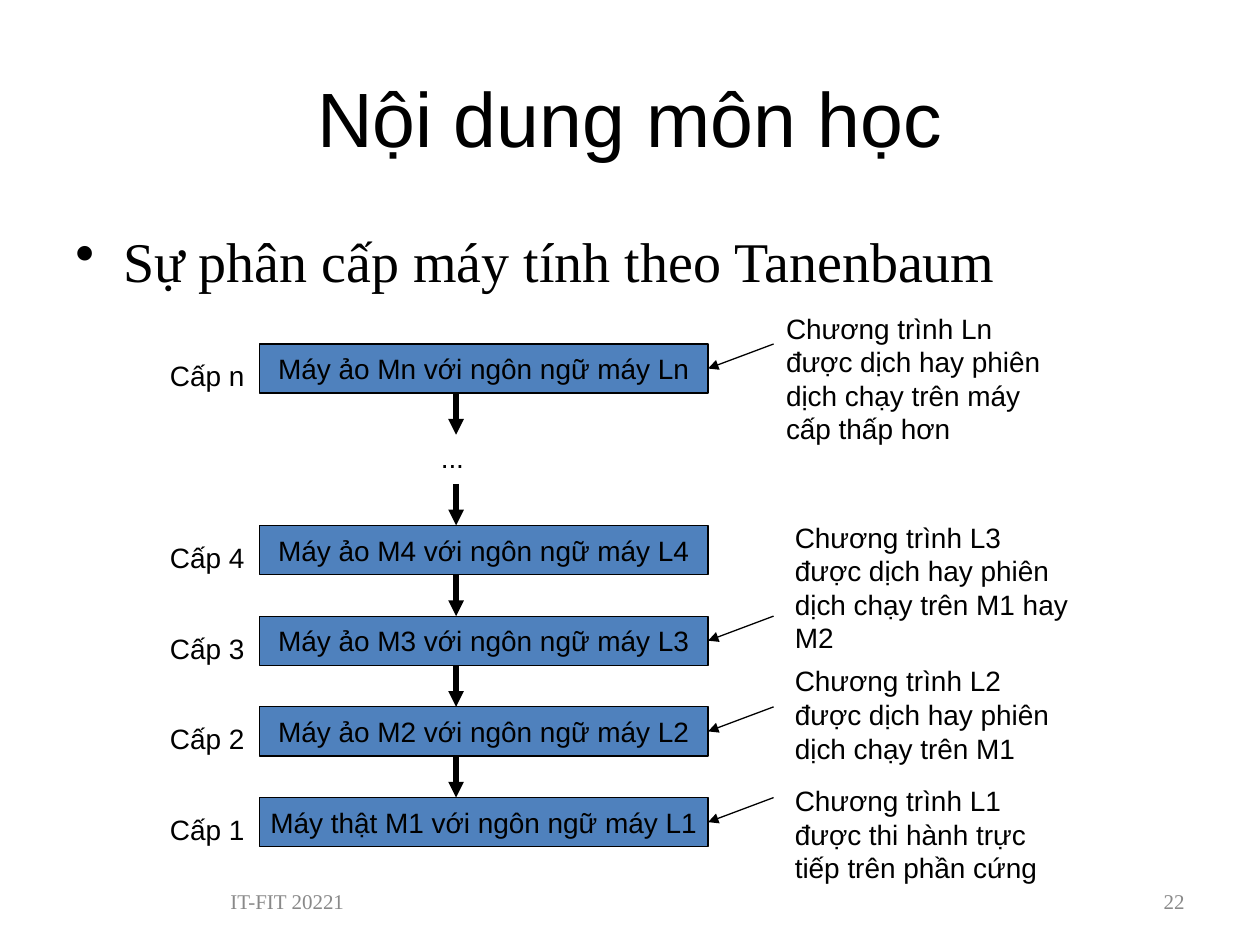
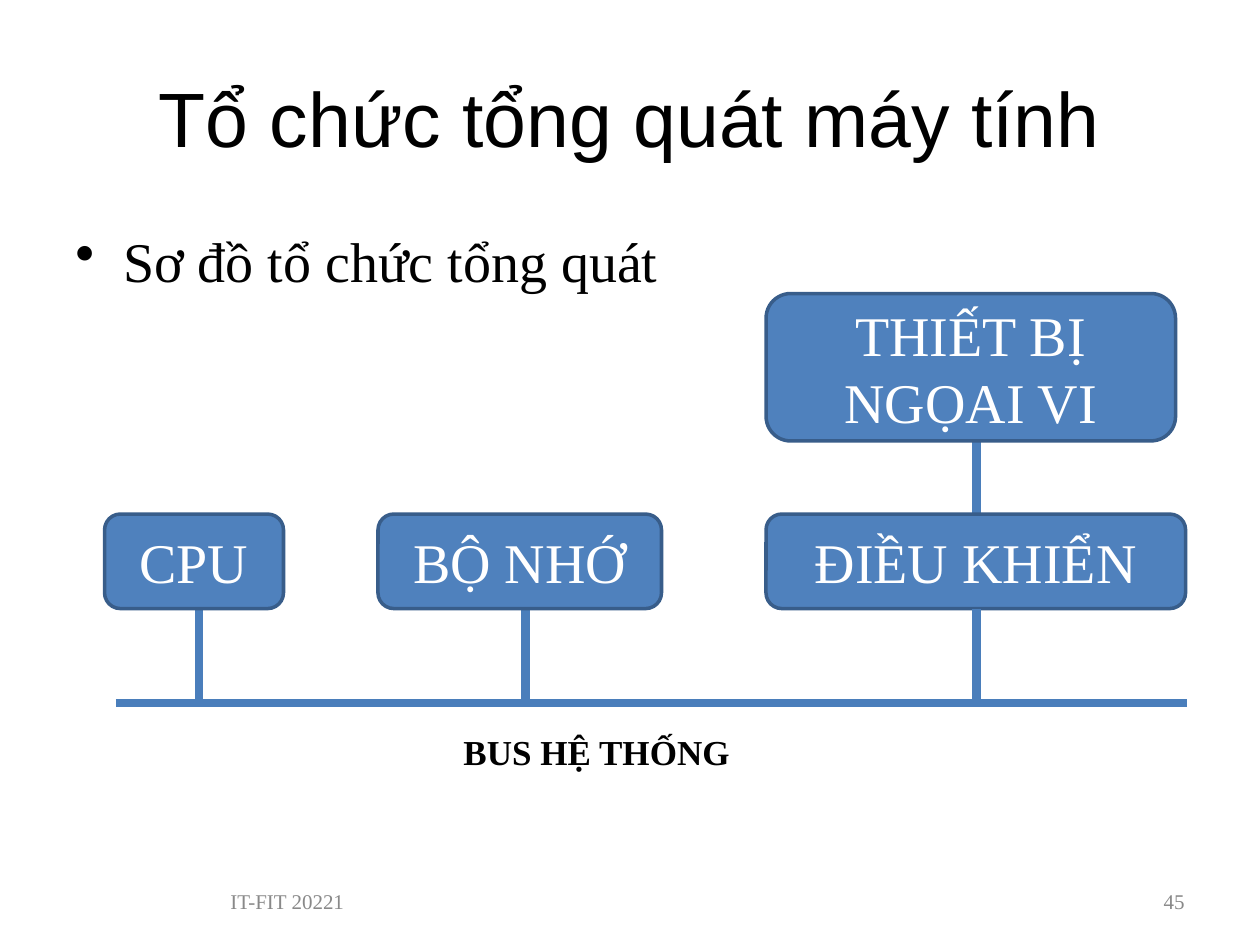
"""Builds two lecture slides: the machine hierarchy and the computer block diagram."""
from dataclasses import dataclass

from lxml import etree
from pptx import Presentation
from pptx import util as u
from pptx.dml.color import RGBColor
from pptx.enum import shapes, text
from pptx.oxml.ns import qn


@dataclass(frozen=True)
class Theme:
    """Colours, fonts and type sizes of the deck."""
    ink: str = "000000"
    paper: str = "FFFFFF"
    muted: str = "898989"
    fill: str = "4F81BD"
    edge: str = "385D8A"
    wire: str = "4A7EBB"
    sans: str = "Arial"
    serif: str = "Times New Roman"
    title: int = 44
    body: int = 32
    caption: int = 20
    label: int = 16
    footer: int = 12
    thin: float = 0.75
    border: float = 2
    arrow: float = 3
    bus: float = 5


class Deck:
    """Holds the theme and the current slide and draws each kind of element."""

    def __init__(self, theme):
        """Start an empty 10 by 7.5 inch presentation."""
        self.t = theme
        self.prs = Presentation()
        self.prs.slide_width, self.prs.slide_height = u.Inches(10), u.Inches(7.5)
        self.s = None

    def slide(self, title, bullet, number):
        """Add a slide with its title, opening bullet and footer."""
        t = self.t
        self.s = self.prs.slides.add_slide(self.prs.slide_layouts[6])
        self.label(title, (0.5, 0.3, 9, 1.25), t.title, t.sans,
                   align=text.PP_ALIGN.CENTER, anchor=text.MSO_ANCHOR.MIDDLE)
        self.bullet(bullet)
        for words, x in (("IT-FIT 20221", 0.5), (number, 7.17)):
            self.label(words, (x, 6.95, 2.33, 0.4), t.footer, t.serif, t.muted,
                       text.PP_ALIGN.RIGHT, text.MSO_ANCHOR.MIDDLE)

    def style(self, tf, words, size, font, color, align, anchor):
        """Fill a text frame with one styled paragraph and return it."""
        tf.word_wrap = True
        tf.vertical_anchor = anchor
        p = tf.paragraphs[0]
        p.text = words
        p.alignment = align
        p.font.size, p.font.name = u.Pt(size), font
        p.font.color.rgb = RGBColor.from_string(color)
        return p

    def label(self, words, box, size, font, color=None, align=text.PP_ALIGN.LEFT,
              anchor=text.MSO_ANCHOR.TOP):
        """Add a text box and return its paragraph."""
        sp = self.s.shapes.add_textbox(*map(u.Inches, box))
        return self.style(sp.text_frame, words, size, font, color or self.t.ink,
                          align, anchor)

    def bullet(self, words):
        """Add the bulleted line under the title."""
        p = self.label(words, (0.5, 1.75, 9, 0.92), self.t.body, self.t.serif)
        p.space_before = u.Pt(8)
        pr = p._p.get_or_add_pPr()
        pr.set("marL", str(u.Inches(0.38)))
        pr.set("indent", str(u.Inches(-0.38)))
        mark = etree.Element(qn("a:buChar"), char="•")
        pr.find(qn("a:spcBef")).addnext(mark)

    def note(self, words, x, y, w, h=0.37):
        """Add a small diagram label or note."""
        p = self.label(words, (x, y, w, h), self.t.label, self.t.sans)
        p.space_before = u.Pt(10)

    def box(self, kind, words, box, size, font, color, edge, width):
        """Add a filled shape with centred text."""
        sp = self.s.shapes.add_shape(kind, *map(u.Inches, box))
        sp.shadow.inherit = False
        sp.fill.solid()
        sp.fill.fore_color.rgb = RGBColor.from_string(self.t.fill)
        sp.line.color.rgb = RGBColor.from_string(edge)
        sp.line.width = u.Pt(width)
        self.style(sp.text_frame, words, size, font, color,
                   text.PP_ALIGN.CENTER, text.MSO_ANCHOR.MIDDLE)
        return sp

    def machine(self, words, box):
        """Add a square-cornered level of the hierarchy."""
        t = self.t
        sp = self.box(shapes.MSO_SHAPE.RECTANGLE, words, box, t.label, t.sans,
                      t.ink, t.ink, t.thin)
        sp.text_frame.word_wrap = False

    def unit(self, words, box):
        """Add a rounded hardware unit."""
        t = self.t
        self.box(shapes.MSO_SHAPE.ROUNDED_RECTANGLE, words, box, t.body, t.serif,
                 t.paper, t.edge, t.border)

    def line(self, x1, y1, x2, y2, color, width, arrow=False):
        """Add a straight connector, with an arrowhead at its end if asked."""
        c = self.s.shapes.add_connector(
            shapes.MSO_CONNECTOR.STRAIGHT, *map(u.Inches, (x1, y1, x2, y2)))
        c.line.color.rgb = RGBColor.from_string(color)
        c.line.width = u.Pt(width)
        if arrow:
            etree.SubElement(c.line._get_or_add_ln(), qn("a:tailEnd"), type="triangle")
        etree.SubElement(c._element.spPr, qn("a:effectLst"))


def hierarchy(d):
    """Draw the levels of virtual machines."""
    t = d.t
    d.slide("Nội dung môn học", "Sự phân cấp máy tính theo Tanenbaum", "22")
    left, width, height, first, step = 2.06, 3.56, 0.39, 2.73, 0.72
    levels = ("n", None, "4", "3", "2", "1")
    notes = {
        "n": ("Chương trình Ln được dịch hay phiên dịch chạy trên máy cấp thấp hơn",
              6.14, 2.42, 2.37, 1.17),
        "3": ("Chương trình L3 được dịch hay phiên dịch chạy trên M1 hay M2",
              6.21, 4.08, 2.37, 1.17),
        "2": ("Chương trình L2 được dịch hay phiên dịch chạy trên M1",
              6.21, 5.22, 2.37, 0.9),
        "1": ("Chương trình L1 được thi hành trực tiếp trên phần cứng",
              6.21, 6.17, 2.3, 0.9),
    }
    for row, level in enumerate(levels):
        top = first + row * step
        if level:
            kind = "thật" if level == "1" else "ảo"
            d.machine(f"Máy {kind} M{level} với ngôn ngữ máy L{level}",
                      (left, top, width, height))
            d.note(f"Cấp {level}", 1.25, top + 0.07, 0.81)
        else:
            d.note("...", 3.4, top, 0.81)
        if row < len(levels) - 1:
            d.line(3.62, top + height, 3.62, top + step, t.ink, t.arrow, True)
        if level in notes:
            d.note(*notes[level])
            d.line(6.14, top, left + width, top + height / 2, t.ink, t.thin, True)


def organisation(d):
    """Draw the units joined by the system bus."""
    t = d.t
    d.slide("Tổ chức tổng quát máy tính", "Sơ đồ tổ chức tổng quát", "45")
    row, height, bus, control = 4.08, 0.75, 5.58, 7.75
    for x, y1, y2 in ((control, 3.33, row), (4.17, 4.67, bus), (1.58, 4.67, bus)):
        d.line(x, y1, x, y2, t.wire, t.bus)
    for words, x, width in (("CPU", 0.83, 1.42), ("BỘ NHỚ", 3, 2.25),
                            ("ĐIỀU KHIỂN", 6.08, 3.33)):
        d.unit(words, (x, row, width, height))
    d.unit("THIẾT BỊ NGỌAI VI", (6.08, 2.33, 3.25, 1.17))
    d.line(0.92, bus, 9.42, bus, t.wire, t.bus)
    d.line(control, row + height, control, bus, t.wire, t.bus)
    p = d.label("BUS HỆ THỐNG", (3.58, 5.75, 3.42, 0.44), t.caption, t.serif)
    p.font.bold = True


deck = Deck(Theme())
hierarchy(deck)
organisation(deck)
deck.prs.save("out.pptx")
